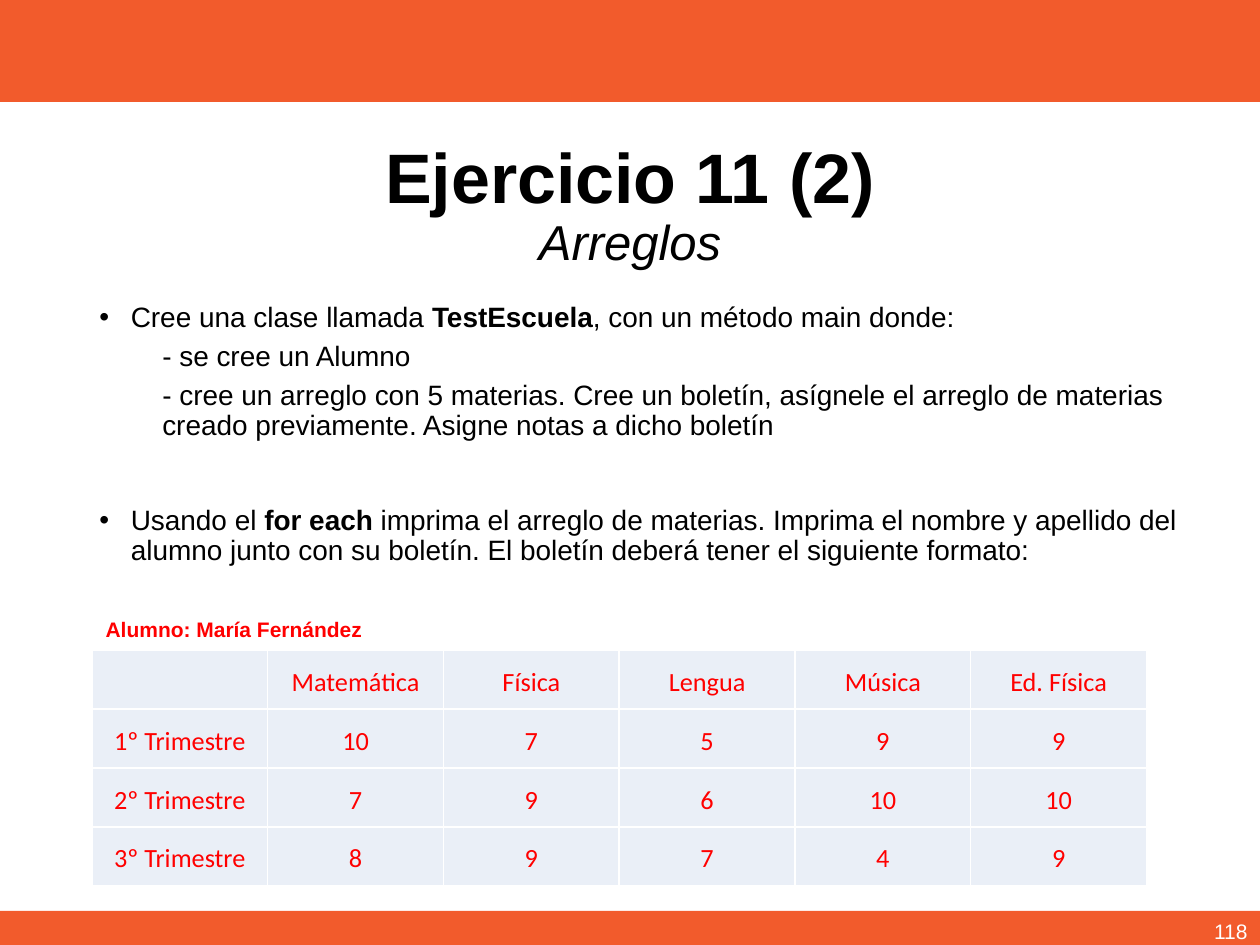
from dataclasses import dataclass, field
from typing import Any, NamedTuple

import pptx
import pptx.dml.color
import pptx.enum.shapes
import pptx.enum.text
import pptx.oxml
import pptx.oxml.ns
import pptx.util

Inches = pptx.util.Inches
Pt = pptx.util.Pt
Align = pptx.enum.text.PP_ALIGN
Anchor = pptx.enum.text.MSO_ANCHOR
Fit = pptx.enum.text.MSO_AUTO_SIZE


@dataclass(frozen=True)
class Theme:
    bar: str = "F25B2C"
    cell: str = "EAEFF7"
    white: str = "FFFFFF"
    black: str = "000000"
    red: str = "FF0000"
    head: int = 40
    sub: int = 28
    body: int = 16
    mark: int = 15
    small: int = 12
    sans: str = "Arial"
    grid: str = "Calibri"


class Box(NamedTuple):
    left: float
    top: float
    width: float
    height: float


class Span(NamedTuple):
    text: str
    size: int
    tint: str
    style: dict[str, Any] = {}
    face: str = Theme.sans


@dataclass
class Para:
    spans: list[Span]
    form: dict[str, Any] = field(default_factory=dict)
    left: float = 0
    bullet: bool = False


THEME = Theme()
BARS = [Box(0, 0, 10, 0.81), Box(0, 7.23, 10, 0.27)]
GRADES = [
    ["", "Matemática", "Física", "Lengua", "Música", "Ed. Física"],
    ["1º Trimestre", "10", "7", "5", "9", "9"],
    ["2º Trimestre", "7", "9", "6", "10", "10"],
    ["3º Trimestre", "8", "9", "7", "4", "9"],
]


def apply(item: Any, form: dict[str, Any]) -> None:
    for name, value in form.items():
        setattr(item, name, value)


def place(shape: Any, box: Box) -> None:
    apply(shape, {name: Inches(size) for name, size in box._asdict().items()})


def color(code: str) -> pptx.dml.color.RGBColor:
    return pptx.dml.color.RGBColor.from_string(code)


def paint(shape: Any, code: str) -> None:
    shape.fill.solid()
    shape.fill.fore_color.rgb = color(code)


def node(xml: str) -> Any:
    return pptx.oxml.parse_xml(xml.replace(" ", f" {pptx.oxml.ns.nsdecls('a')} ", 1))


def add_span(para: Any, span: Span) -> None:
    run = para.add_run()
    run.text = span.text
    apply(run.font, {"size": Pt(span.size), "name": span.face,
                     "bold": False, "italic": False} | span.style)
    run.font.color.rgb = color(span.tint)


def fill_frame(frame: Any, paras: list[Para]) -> None:
    for index, part in enumerate(paras):
        para = frame.add_paragraph() if index else frame.paragraphs[0]
        apply(para, part.form)
        if part.left:
            props = para._p.get_or_add_pPr()
            props.set("marL", str(Inches(part.left)))
            props.set("indent", str(Inches(-part.left if part.bullet else 0)))
            if part.bullet:
                props.append(node('<a:buFont typeface="Arial"/>'))
                props.append(node('<a:buChar char="•"/>'))
        for span in part.spans:
            add_span(para, span)


def add_text(slide: Any, box: Box, paras: list[Para], **form: Any) -> None:
    shape = slide.shapes.add_textbox(0, 0, 0, 0)
    place(shape, box)
    apply(shape.text_frame, {"word_wrap": True} | form)
    fill_frame(shape.text_frame, paras)


def add_bar(slide: Any, box: Box) -> None:
    shape = slide.shapes.add_shape(
        pptx.enum.shapes.MSO_SHAPE.RECTANGLE, *map(Inches, box))
    shape.shadow.inherit = False
    shape.line.fill.background()
    paint(shape, THEME.bar)


def set_title(slide: Any) -> None:
    title = slide.shapes.title
    place(title, Box(0.69, 0.98, 8.62, 1.33))
    frame = title.text_frame
    apply(frame, {"word_wrap": True, "auto_size": Fit.NONE,
                  "vertical_anchor": Anchor.MIDDLE})
    para = frame.paragraphs[0]
    apply(para, {"alignment": Align.CENTER, "line_spacing": 0.9})
    add_span(para, Span("Ejercicio 11 (2)", THEME.head, THEME.black, {"bold": True}))
    para.add_line_break()
    add_span(para, Span("Arreglos", THEME.sub, THEME.black, {"italic": True}))


def body_span(text: str, bold: bool = False) -> Span:
    return Span(text, THEME.body, THEME.black, {"bold": bold})


def body_para(left: float, space: int, *spans: Span, bullet: bool = False) -> Para:
    form = {"line_spacing": 0.9, "space_before": Pt(space)}
    return Para(list(spans), form, left, bullet)


def add_body(slide: Any) -> None:
    add_text(slide, Box(0.69, 2.36, 8.8, 4.76), [
        body_para(0.25, 0, body_span("Cree una clase llamada "),
                  body_span("TestEscuela", True),
                  body_span(", con un método main donde:"), bullet=True),
        body_para(0.5, 5, body_span("- se cree un Alumno")),
        body_para(0.5, 5, body_span(
            "- cree un arreglo con 5 materias. Cree un boletín, asígnele el arreglo "
            "de materias creado previamente. Asigne notas a dicho boletín")),
        body_para(0.25, 37, body_span("Usando el "), body_span("for each", True),
                  body_span(" imprima el arreglo de materias. Imprima el nombre y "
                            "apellido del alumno junto con su boletín. El boletín "
                            "deberá tener el siguiente formato:"), bullet=True),
    ])


def add_grades(slide: Any, box: Box) -> None:
    table = slide.shapes.add_table(
        len(GRADES), len(GRADES[0]), *map(Inches, box)).table
    apply(table, {"first_row": False, "horz_banding": False})
    pad = dict.fromkeys(
        ["margin_left", "margin_right", "margin_top", "margin_bottom"], Inches(0.09))
    form = {"alignment": Align.CENTER, "line_spacing": 1.15}
    for row, texts in enumerate(GRADES):
        for col, text in enumerate(texts):
            cell = table.cell(row, col)
            props = cell._tc.get_or_add_tcPr()
            for side in "LRTB":
                props.append(node(
                    f'<a:ln{side} w="{Pt(1)}"><a:solidFill><a:srgbClr '
                    f'val="{THEME.white}"/></a:solidFill></a:ln{side}>'))
            paint(cell, THEME.cell)
            if text:
                apply(cell, pad)
                span = Span(text, THEME.mark, THEME.red, face=THEME.grid)
                fill_frame(cell.text_frame, [Para([span], form)])


def main() -> None:
    deck = pptx.Presentation()
    apply(deck, {"slide_width": Inches(10), "slide_height": Inches(7.5)})
    slide = deck.slides.add_slide(deck.slide_layouts.get_by_name("Title Only"))
    for bar in BARS:
        add_bar(slide, bar)
    set_title(slide)
    add_body(slide)
    add_text(slide, Box(7.75, 7.19, 2.25, 0.4),
             [Para([Span("118", THEME.small, THEME.white)],
                   {"alignment": Align.RIGHT})],
             vertical_anchor=Anchor.MIDDLE)
    add_grades(slide, Box(0.73, 5.16, 8.37, 1.8))
    add_text(slide, Box(0.74, 4.84, 2.26, 0.3),
             [Para([Span("Alumno: María Fernández", THEME.small, THEME.red,
                         {"bold": True})])],
             word_wrap=False, auto_size=Fit.SHAPE_TO_FIT_TEXT,
             vertical_anchor=Anchor.MIDDLE)
    deck.save("out.pptx")


if __name__ == "__main__":
    main()
